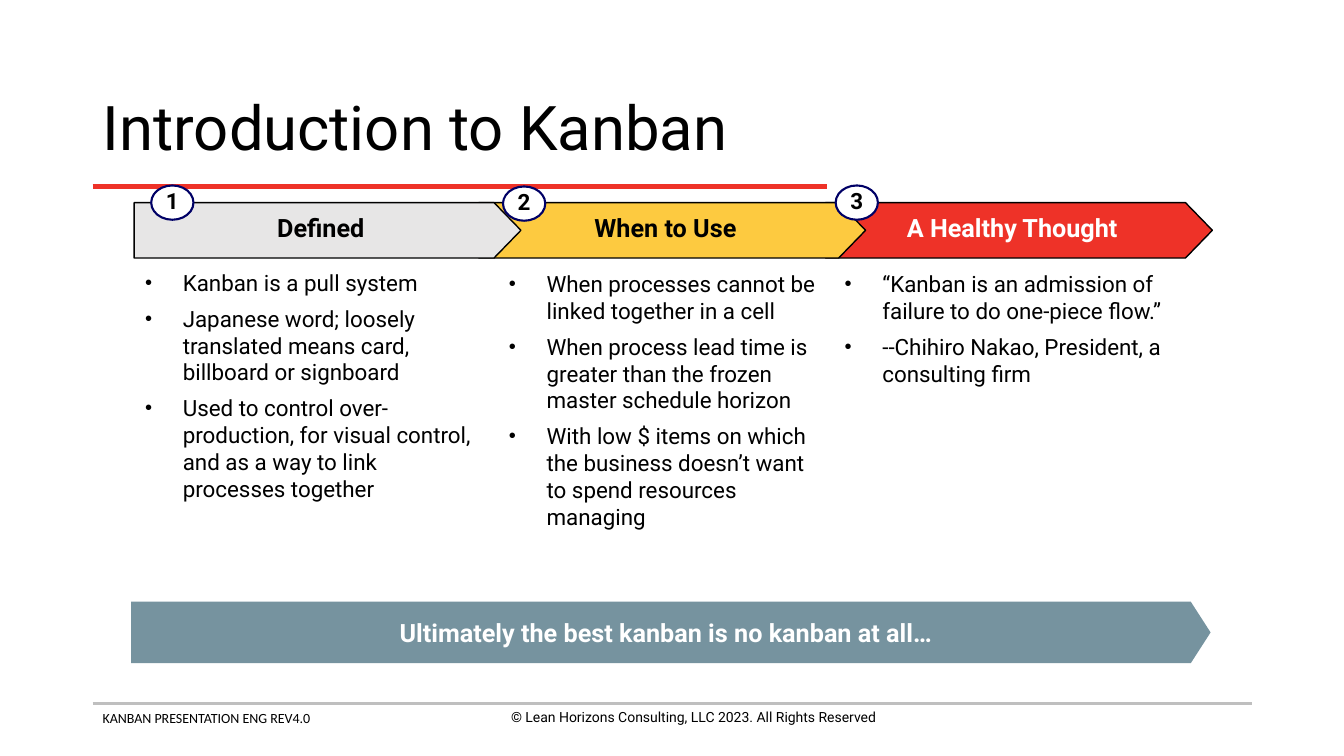
from lxml.etree import SubElement
from pptx import Presentation
from pptx.dml.color import RGBColor
from pptx.enum.shapes import MSO_CONNECTOR as Connector, MSO_SHAPE as Preset
from pptx.enum.text import MSO_ANCHOR as Anchor, PP_ALIGN as Align
from pptx.oxml.ns import qn
from pptx.util import Pt

COLORS = {
    "black": "000000",
    "white": "FFFFFF",
    "red": "EE3228",
    "yellow": "FDCA40",
    "gray": "E7E6E6",
    "slate": "76939F",
    "navy": "000066",
    "rule": "BFBFBF",
}

COLUMNS = [
    {
        "heading": "Defined", "fill": "gray", "color": "black",
        "arrow_left": 95.8, "badge": (108, 132.5), "body": (96.5, 188.6, 255.6),
        "points": [
            "Kanban is a pull system",
            "Japanese word; loosely translated means card, billboard or signboard",
            "Used to control over-production, for visual control, "
            "and as a way to link processes together",
        ],
    },
    {
        "heading": "When to Use", "fill": "yellow", "color": "black",
        "arrow_left": 342, "badge": (359.3, 133.2), "body": (356.4, 189.4, 237.6),
        "points": [
            "When processes cannot be linked together in a cell",
            "When process lead time is greater than the frozen master schedule horizon",
            "With low $ items on which the business doesn’t want "
            "to spend resources managing",
        ],
    },
    {
        "heading": "A Healthy Thought", "fill": "red", "color": "white",
        "arrow_left": 589.7, "badge": (596.9, 132.5), "body": (596.2, 189.4, 259.2),
        "points": [
            "“Kanban is an admission of failure to do one-piece flow.”",
            "--Chihiro Nakao, President, a consulting firm",
        ],
    },
]


def rgb(name):
    return RGBColor.from_string(COLORS[name])


def points(*lengths):
    return [Pt(length) for length in lengths]


def write(para, text, size=16, color="black", bold=False, font="Roboto",
          align=Align.LEFT, spacing=1.0):
    para.alignment = align
    para.line_spacing = spacing
    span = para.add_run()
    span.text = text
    span.font.name = font
    span.font.size = Pt(size)
    span.font.bold = bold
    span.font.color.rgb = rgb(color)


def add_rule(page, left, top, right, color, width):
    rule = page.shapes.add_connector(Connector.STRAIGHT, *points(left, top, right, top))
    rule.line.color.rgb = rgb(color)
    rule.line.width = Pt(width)
    SubElement(rule._element.spPr, qn("a:effectLst"))


def add_text(page, left, top, width, height, text, **style):
    box = page.shapes.add_textbox(*points(left, top, width, height))
    box.text_frame.word_wrap = True
    write(box.text_frame.paragraphs[0], text, **style)


def add_label_shape(page, preset, left, top, width, height, text, fill,
                    line=None, line_width=1, point=None, **style):
    shape = page.shapes.add_shape(preset, *points(left, top, width, height))
    shape.shadow.inherit = False
    shape.fill.solid()
    shape.fill.fore_color.rgb = rgb(fill)
    if line:
        shape.line.color.rgb = rgb(line)
        shape.line.width = Pt(line_width)
    else:
        shape.line.fill.background()
    if point:
        shape.adjustments[0] = point
    frame = shape.text_frame
    frame.word_wrap = False
    frame.vertical_anchor = Anchor.MIDDLE
    write(frame.paragraphs[0], text, bold=True, align=Align.CENTER, **style)


def add_bullet(para):
    props = para._p.get_or_add_pPr()
    props.set("marL", str(Pt(27)))
    props.set("indent", str(Pt(-27)))
    color = SubElement(props, qn("a:buClr"))
    SubElement(color, qn("a:srgbClr"), val=COLORS["black"])
    SubElement(props, qn("a:buSzPct"), val="90000")
    SubElement(props, qn("a:buFont"), typeface="Arial")
    SubElement(props, qn("a:buChar"), char="•")


def add_bullets(page, left, top, width, items):
    box = page.shapes.add_textbox(*points(left, top, width, 129.6))
    frame = box.text_frame
    frame.word_wrap = True
    for index, item in enumerate(items):
        para = frame.add_paragraph() if index else frame.paragraphs[0]
        add_bullet(para)
        para.space_before = Pt(3.2 if index else 0)
        para.space_after = Pt(3.2)
        write(para, item)


def set_title(page, text):
    title = page.shapes.title
    title.left, title.top, title.width, title.height = points(66.2, 53.3, 828, 79.2)
    title.text_frame.vertical_anchor = Anchor.MIDDLE
    write(title.text_frame.paragraphs[0], text, size=44, spacing=0.9)


def main():
    deck = Presentation()
    deck.slide_width, deck.slide_height = points(960, 540)
    page = deck.slides.add_slide(deck.slide_layouts[5])

    add_rule(page, 66.2, 502.6, 894.2, "rule", 2)
    add_text(page, 66.2, 503.3, 328.3, 31.7, "KANBAN PRESENTATION ENG REV4.0",
             size=10, font="Calibri")
    add_text(page, 331.2, 502.6, 328.3, 31.7,
             "© Lean Horizons Consulting, LLC 2023. All Rights Reserved",
             size=10, align=Align.CENTER)
    add_rule(page, 66.2, 133.2, 590.4, "red", 3)
    set_title(page, "Introduction to Kanban")

    for column in reversed(COLUMNS):
        add_label_shape(page, Preset.PENTAGON, column["arrow_left"], 144.7, 276.3, 39.6,
                        column["heading"], column["fill"], line="black", point=0.486,
                        size=18, color=column["color"], spacing=0.8)
    for number, column in enumerate(COLUMNS, 1):
        add_bullets(page, *column["body"], column["points"])
        add_label_shape(page, Preset.OVAL, *column["badge"], 30.2, 24.5, str(number),
                        "white", line="navy", line_width=1.5, spacing=0.8)

    add_label_shape(page, Preset.PENTAGON, 93.6, 429.8, 771.1, 43.9,
                    "Ultimately the best kanban is no kanban at all…", "slate",
                    point=0.322, size=18, color="white")
    deck.save("out.pptx")


if __name__ == "__main__":
    main()
